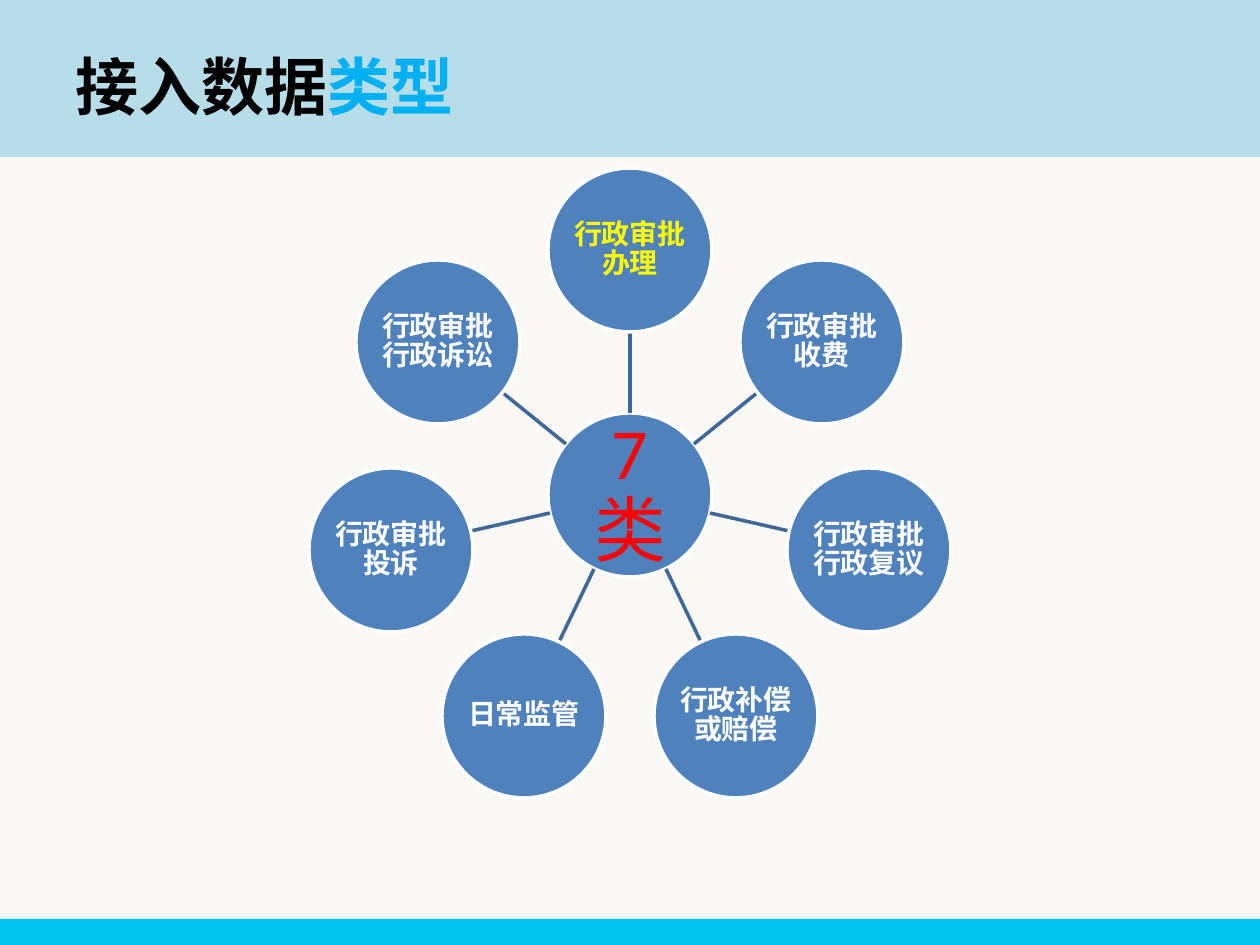
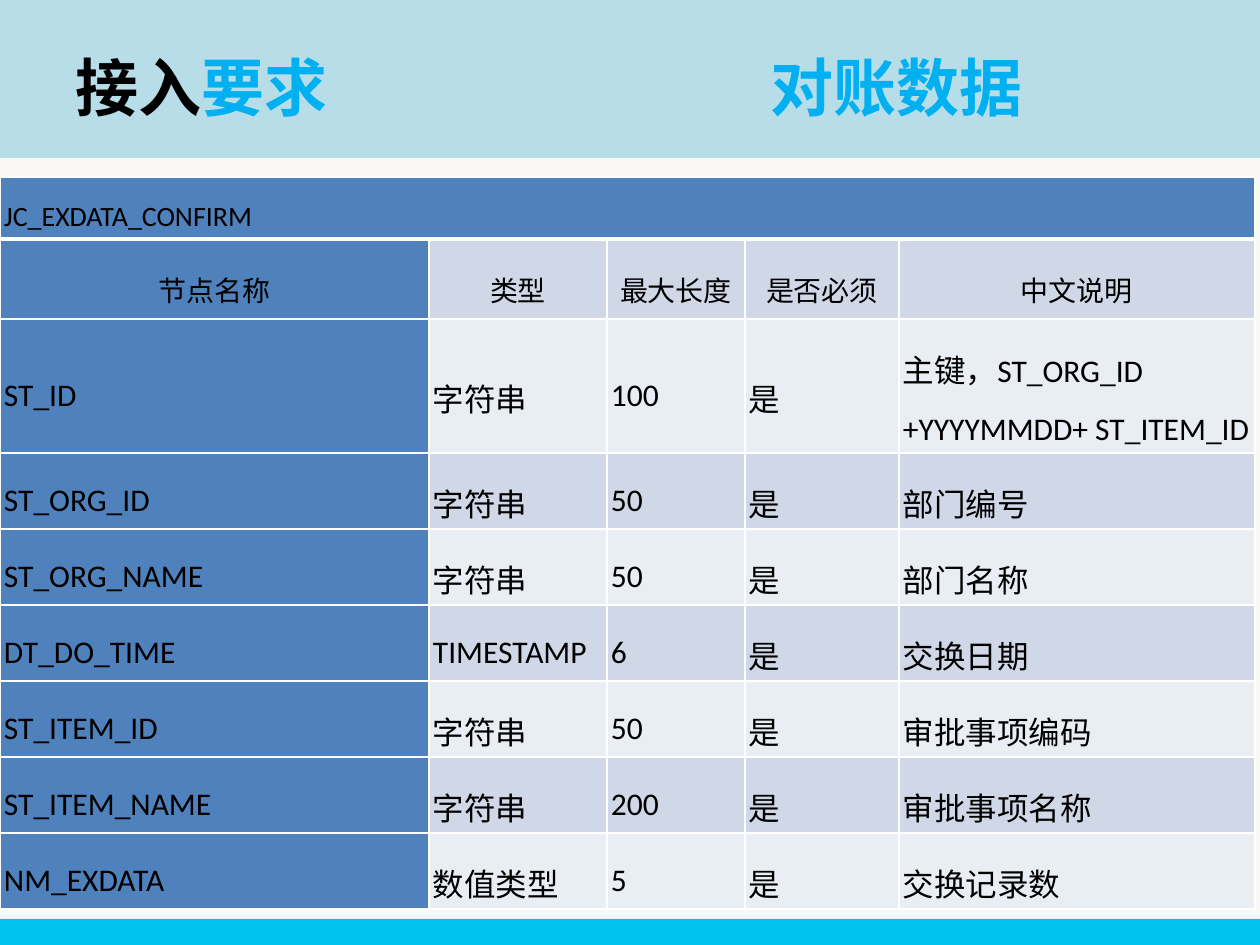
"""Builds two slides on data access: a wheel of seven data types and a field table."""
import math

import lxml.etree
import pptx
import pptx.dml.color
import pptx.enum.shapes
import pptx.enum.text
import pptx.oxml.ns
import pptx.util

PX = 7257
BLUE, PALE, PALER = "4F81BD", "D0D8E8", "E9EDF4"
BAND, FOOTER, ACCENT = "B7DEE8", "00C4F0", "00B0F0"
BLACK, WHITE, YELLOW, RED = "000000", "FFFFFF", "FFFF00", "FF0000"
CJK = "Noto Sans CJK SC"
SHAPES = pptx.enum.shapes.MSO_SHAPE
ALIGN = pptx.enum.text.PP_ALIGN
MIDDLE = pptx.enum.text.MSO_ANCHOR.MIDDLE
qn = pptx.oxml.ns.qn


def color(value):
    """Turn a hex string into a colour."""
    return pptx.dml.color.RGBColor.from_string(value)


def style(span, size, hue, bold=False, face=CJK):
    """Set the font of one run."""
    span.font.size = pptx.util.Pt(size)
    span.font.bold = bold
    span.font.name = face
    span.font.color.rgb = color(hue)
    props = span.font._element
    lxml.etree.SubElement(props, qn("a:ea")).set("typeface", CJK)


deck = pptx.Presentation()
deck.slide_width = 1260 * PX
deck.slide_height = 945 * PX

titles = [
    [("接入数据", BLACK), ("类型", ACCENT)],
    [("接入", BLACK), ("要求\t对账数据", ACCENT)],
]
for drop, title in enumerate(titles):
    page = deck.slides.add_slide(deck.slide_layouts[6])
    page.background.fill.solid()
    page.background.fill.fore_color.rgb = color("F9F8F5")
    for top, height, hue in [(drop, 155, BAND), (919, 26, FOOTER)]:
        band = page.shapes.add_shape(SHAPES.RECTANGLE, 0, top * PX, 1260 * PX, height * PX)
        band.shadow.inherit = False
        band.fill.solid()
        band.fill.fore_color.rgb = color(hue)
        if hue == BAND:
            band.line.color.rgb = color(hue)
            band.line.width = pptx.util.Pt(2)
        else:
            band.line.fill.background()
    box = page.shapes.add_textbox(63 * PX, (7 + drop) * PX, 1133 * PX, 157 * PX)
    box.text_frame.word_wrap = True
    box.text_frame.vertical_anchor = MIDDLE
    para = box.text_frame.paragraphs[0]
    stops = lxml.etree.SubElement(para._p.get_or_add_pPr(), qn("a:tabLst"))
    lxml.etree.SubElement(stops, qn("a:tab"), pos=str(695 * PX), algn="l")
    for words, hue in title:
        span = para.add_run()
        span.text = words
        style(span, 36, hue, bold=True)

wheel_page, table_page = deck.slides

CENTER_X, CENTER_Y, RING, RADIUS = 630, 495, 245, 82
nodes = [("7类", 0, 0, 41, RED, False, "Calibri", 5, 0.9)]
data_types = ["行政审批办理", "行政审批收费", "行政审批行政复议", "行政补偿或赔偿",
              "日常监管", "行政审批投诉", "行政审批行政诉讼"]
for index, words in enumerate(data_types):
    angle = 2 * math.pi * index / len(data_types)
    across, down = math.sin(angle), -math.cos(angle)
    hue = WHITE if index else YELLOW
    nodes.append((words, across, down, 16, hue, True, CJK, 1, 0.87))

for words, across, down, size, hue, bold, face, inset, spacing in nodes:
    if across or down:
        ends = [round(middle + reach * step) * PX
                for reach in (RADIUS, RING - RADIUS)
                for middle, step in ((CENTER_X, across), (CENTER_Y, down))]
        spoke = wheel_page.shapes.add_connector(
            pptx.enum.shapes.MSO_CONNECTOR.STRAIGHT, *ends)
        spoke.line.color.rgb = color("3F6797")
        spoke.line.width = pptx.util.Pt(2)
        lxml.etree.SubElement(spoke._element.spPr, qn("a:effectLst"))
    left = round(CENTER_X + RING * across - RADIUS)
    top = round(CENTER_Y + RING * down - RADIUS)
    node = wheel_page.shapes.add_shape(
        SHAPES.OVAL, left * PX, top * PX, 2 * RADIUS * PX, 2 * RADIUS * PX)
    node.shadow.inherit = False
    node.fill.solid()
    node.fill.fore_color.rgb = color(BLUE)
    node.line.color.rgb = color(WHITE)
    node.line.width = pptx.util.Pt(2)
    frame = node.text_frame
    frame.margin_left = frame.margin_right = inset * PX
    frame.margin_top = frame.margin_bottom = inset * PX
    frame.word_wrap = True
    frame.vertical_anchor = MIDDLE
    frame.text = words
    para = frame.paragraphs[0]
    para.alignment = ALIGN.CENTER
    para.line_spacing = spacing
    style(para.runs[0], size, hue, bold, face)

fields = [
    ["JC_EXDATA_CONFIRM", "", "", "", ""],
    ["节点名称", "类型", "最大长度", "是否必须", "中文说明"],
    ["ST_ID", "字符串", "100", "是", "主键，ST_ORG_ID +YYYYMMDD+ ST_ITEM_ID"],
    ["ST_ORG_ID", "字符串", "50", "是", "部门编号"],
    ["ST_ORG_NAME", "字符串", "50", "是", "部门名称"],
    ["DT_DO_TIME", "TIMESTAMP", "6", "是", "交换日期"],
    ["ST_ITEM_ID", "字符串", "50", "是", "审批事项编码"],
    ["ST_ITEM_NAME", "字符串", "200", "是", "审批事项名称"],
    ["NM_EXDATA", "数值类型", "5", "是", "交换记录数"],
]
widths = [429, 178, 138, 154, 356]
heights = [62, 80, 134] + [76] * 6
table = table_page.shapes.add_table(
    len(heights), len(widths), 0, 177 * PX, sum(widths) * PX, sum(heights) * PX).table
table.first_row = False
table.horz_banding = False
for column, width in zip(table.columns, widths):
    column.width = width * PX
for row, height in zip(table.rows, heights):
    row.height = height * PX
table.cell(0, 0).merge(table.cell(0, len(widths) - 1))

for row, record in enumerate(fields):
    for column, words in enumerate(record):
        cell = table.cell(row, column)
        cell.margin_left = cell.margin_right = 4 * PX
        cell.margin_top = cell.margin_bottom = 4 * PX
        cell.vertical_anchor = MIDDLE
        for side in ("lnL", "lnR", "lnT", "lnB"):
            thick = (row, side) in [(0, "lnB"), (1, "lnT")]
            border = lxml.etree.SubElement(
                cell._tc.get_or_add_tcPr(), qn("a:" + side),
                w=str(pptx.util.Pt(3 if thick else 1)))
            paint = lxml.etree.SubElement(border, qn("a:solidFill"))
            lxml.etree.SubElement(paint, qn("a:srgbClr"), val=WHITE)
        cell.fill.solid()
        stripe = PALE if row % 2 else PALER
        cell.fill.fore_color.rgb = color(BLUE if row == 0 or column == 0 else stripe)
        if words:
            cell.text_frame.text = words
            para = cell.text_frame.paragraphs[0]
            para.line_spacing = 1.5
            para.alignment = ALIGN.CENTER if row == 1 else ALIGN.LEFT
            style(para.runs[0], 16 if row < 2 else 18, BLACK, face="Calibri")

deck.save("out.pptx")
